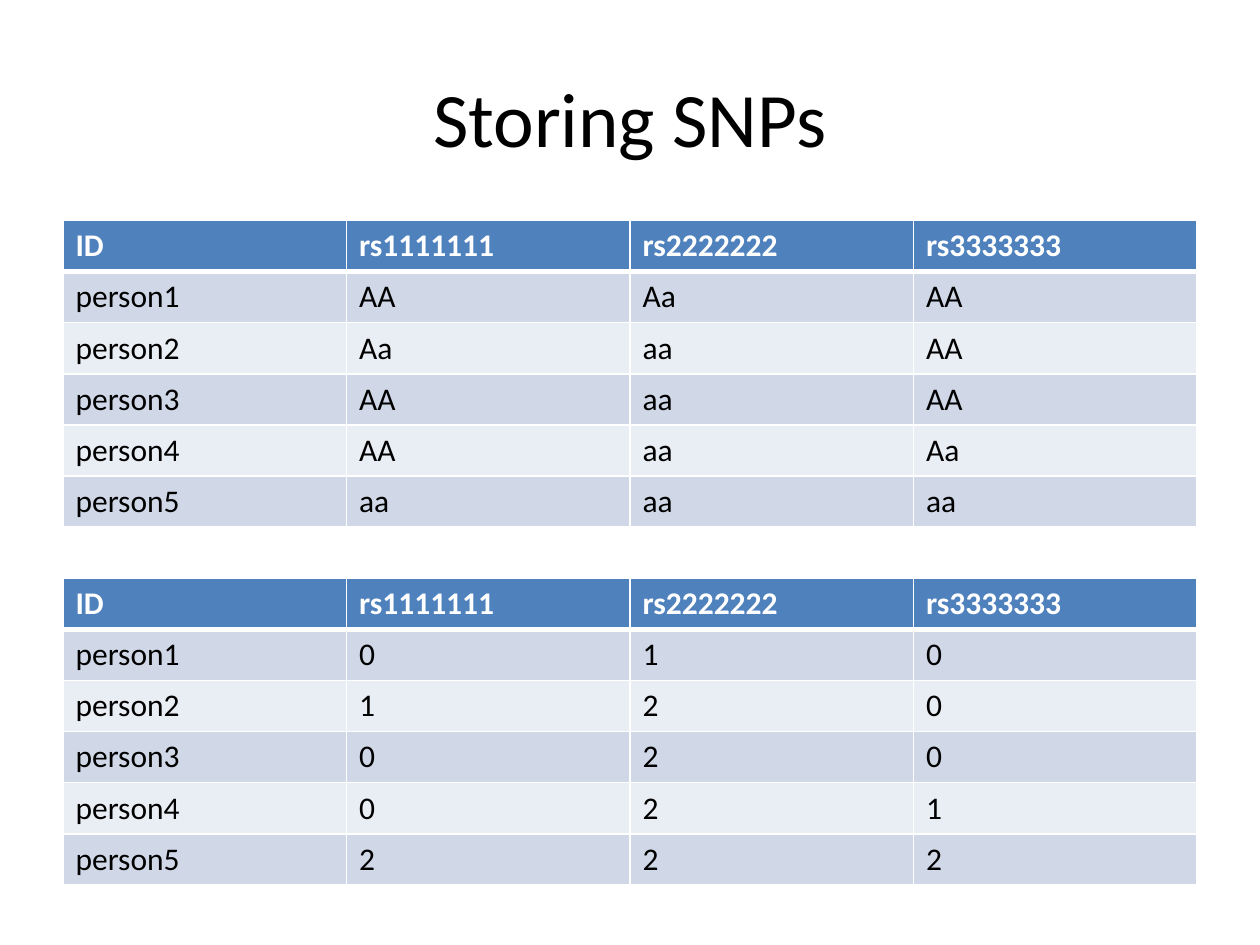
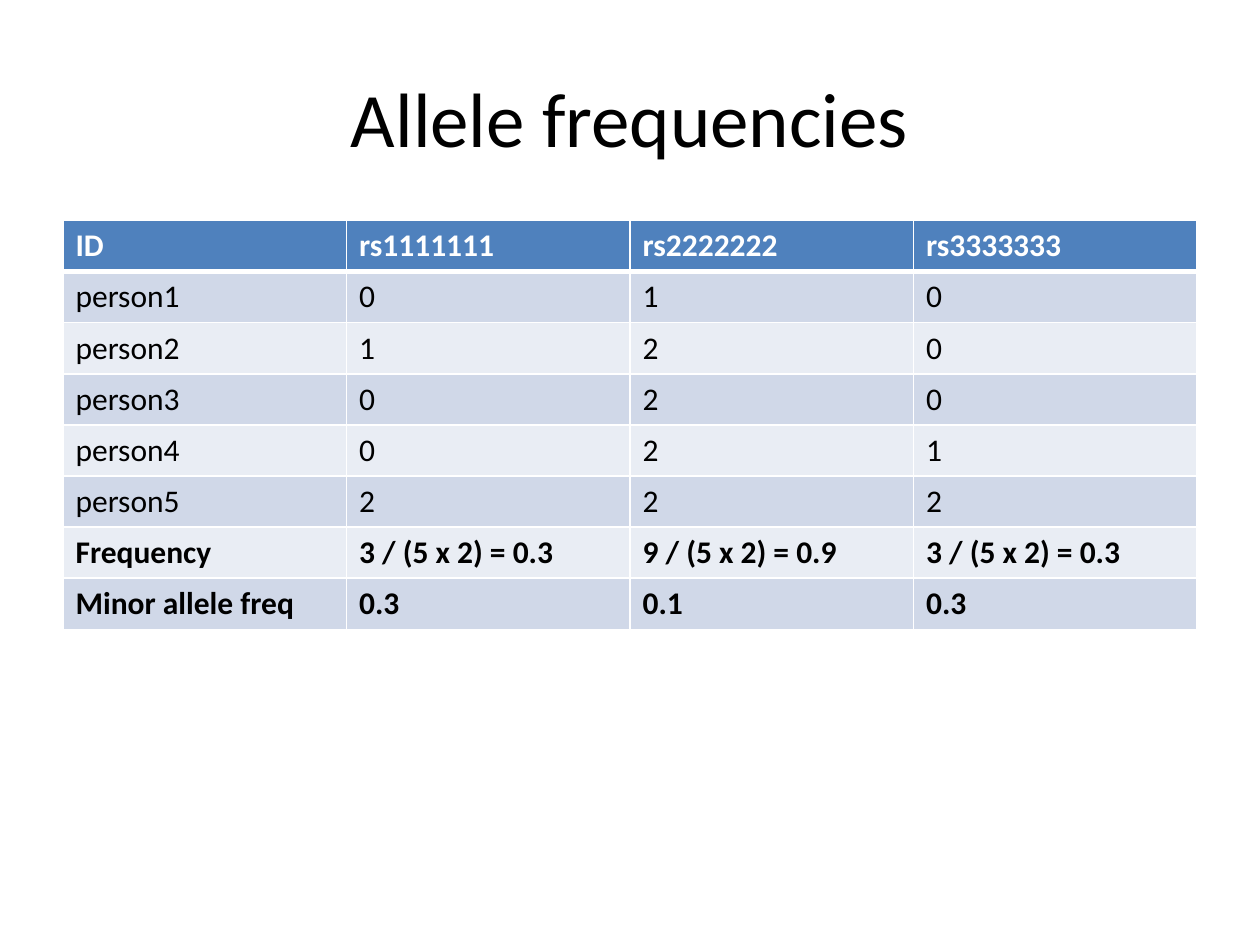
"""Build two slides on SNP tables and allele frequencies."""
import dataclasses

import lxml.etree
import pptx
import pptx.dml.color
import pptx.enum.text
import pptx.oxml.ns
import pptx.slide
import pptx.table
import pptx.text.text
import pptx.util

Inches = pptx.util.Inches


@dataclasses.dataclass(frozen=True)
class Theme:
    face: str = "Calibri"
    ink: str = "000000"
    paper: str = "FFFFFF"
    head: str = "4F81BD"
    bands: tuple[str, str] = ("D0D8E8", "E9EDF4")
    title: int = 44
    body: int = 18
    thin: int = 1
    thick: int = 3


@dataclasses.dataclass(frozen=True)
class Grid:
    top: float
    rows: list[list[str]]
    bold: int = 0  # number of bold rows at the foot


@dataclasses.dataclass(frozen=True)
class Page:
    title: str
    grids: list[Grid]


THEME = Theme()
LEFT, WIDTH = Inches(0.5), Inches(9)
PAIR = Inches(0.81)  # height of two table rows
TOP, LOW = 1.75, 4.59

# Genotypes, and the counts and frequencies that follow from them
HEAD = ["ID", "rs1111111", "rs2222222", "rs3333333"]
GENES = [
    ["AA", "Aa", "AA"],
    ["Aa", "aa", "AA"],
    ["AA", "aa", "AA"],
    ["AA", "aa", "Aa"],
    ["aa", "aa", "aa"],
]
COUNTS = [[gene.count("a") for gene in row] for row in GENES]
SUMS = [sum(col) for col in zip(*COUNTS)]
SIZE = len(GENES)
FREQS = [total / (SIZE * 2) for total in SUMS]
FOOT = [
    ["Frequency"] + [f"{total} / ({SIZE} x 2) = {freq:.1f}"
                     for total, freq in zip(SUMS, FREQS)],
    ["Minor allele freq"] + [f"{min(freq, 1 - freq):.1f}" for freq in FREQS],
]


def label(rows: list[list]) -> list[list[str]]:
    """Add the header row and the person names."""
    return [HEAD] + [[f"person{num}", *map(str, row)]
                     for num, row in enumerate(rows, 1)]


PAGES = [
    Page("Storing SNPs", [Grid(TOP, label(GENES)), Grid(LOW, label(COUNTS))]),
    Page("Allele frequencies",
         [Grid(TOP, label(COUNTS) + FOOT, bold=len(FOOT))]),
]


def style(font: pptx.text.text.Font, size: int, color: str,
          bold: bool = False) -> None:
    form = {"name": THEME.face, "size": pptx.util.Pt(size), "bold": bold}
    for key, value in form.items():
        setattr(font, key, value)
    font.color.rgb = pptx.dml.color.RGBColor.from_string(color)


def border(cell: pptx.table._Cell, widths: dict[str, int]) -> None:
    """Draw cell edges; the schema wants them ahead of the fill."""
    qn = pptx.oxml.ns.qn
    props = cell._tc.get_or_add_tcPr()
    for spot, (side, width) in enumerate(widths.items()):
        line = lxml.etree.Element(qn(f"a:ln{side}"),
                                  w=str(pptx.util.Pt(width)))
        fill = lxml.etree.SubElement(line, qn("a:solidFill"))
        lxml.etree.SubElement(fill, qn("a:srgbClr"), val=THEME.paper)
        props.insert(spot, line)


def draw_title(slide: pptx.slide.Slide, text: str) -> None:
    shape = slide.shapes.title
    place = {"left": LEFT, "top": Inches(0.3),
             "width": WIDTH, "height": Inches(1.25)}
    for key, value in place.items():
        setattr(shape, key, value)
    frame = shape.text_frame
    frame.text = text
    frame.vertical_anchor = pptx.enum.text.MSO_ANCHOR.MIDDLE
    para = frame.paragraphs[0]
    para.alignment = pptx.enum.text.PP_ALIGN.CENTER
    style(para.runs[0].font, THEME.title, THEME.ink)


def draw_grid(slide: pptx.slide.Slide, grid: Grid) -> None:
    count = len(grid.rows)
    table = slide.shapes.add_table(
        count, len(HEAD), LEFT, Inches(grid.top), WIDTH,
        PAIR * count // 2).table
    for row, texts in enumerate(grid.rows):
        top = row == 0
        fill = THEME.head if top else THEME.bands[(row - 1) % 2]
        color = THEME.paper if top else THEME.ink
        bold = top or row >= count - grid.bold
        # The rule under the header belongs to both rows that share it
        edges = {"L": THEME.thin, "R": THEME.thin,
                 "T": THEME.thick if row == 1 else THEME.thin,
                 "B": THEME.thick if top else THEME.thin}
        for col, text in enumerate(texts):
            cell = table.cell(row, col)
            cell.text = text
            style(cell.text_frame.paragraphs[0].runs[0].font,
                  THEME.body, color, bold)
            cell.fill.solid()
            cell.fill.fore_color.rgb = (
                pptx.dml.color.RGBColor.from_string(fill))
            border(cell, edges)


def main() -> None:
    deck = pptx.Presentation()
    deck.slide_width, deck.slide_height = Inches(10), Inches(7.5)
    layout = deck.slide_layouts.get_by_name("Title Only")
    for page in PAGES:
        slide = deck.slides.add_slide(layout)
        draw_title(slide, page.title)
        for grid in page.grids:
            draw_grid(slide, grid)
    deck.save("out.pptx")


main()
